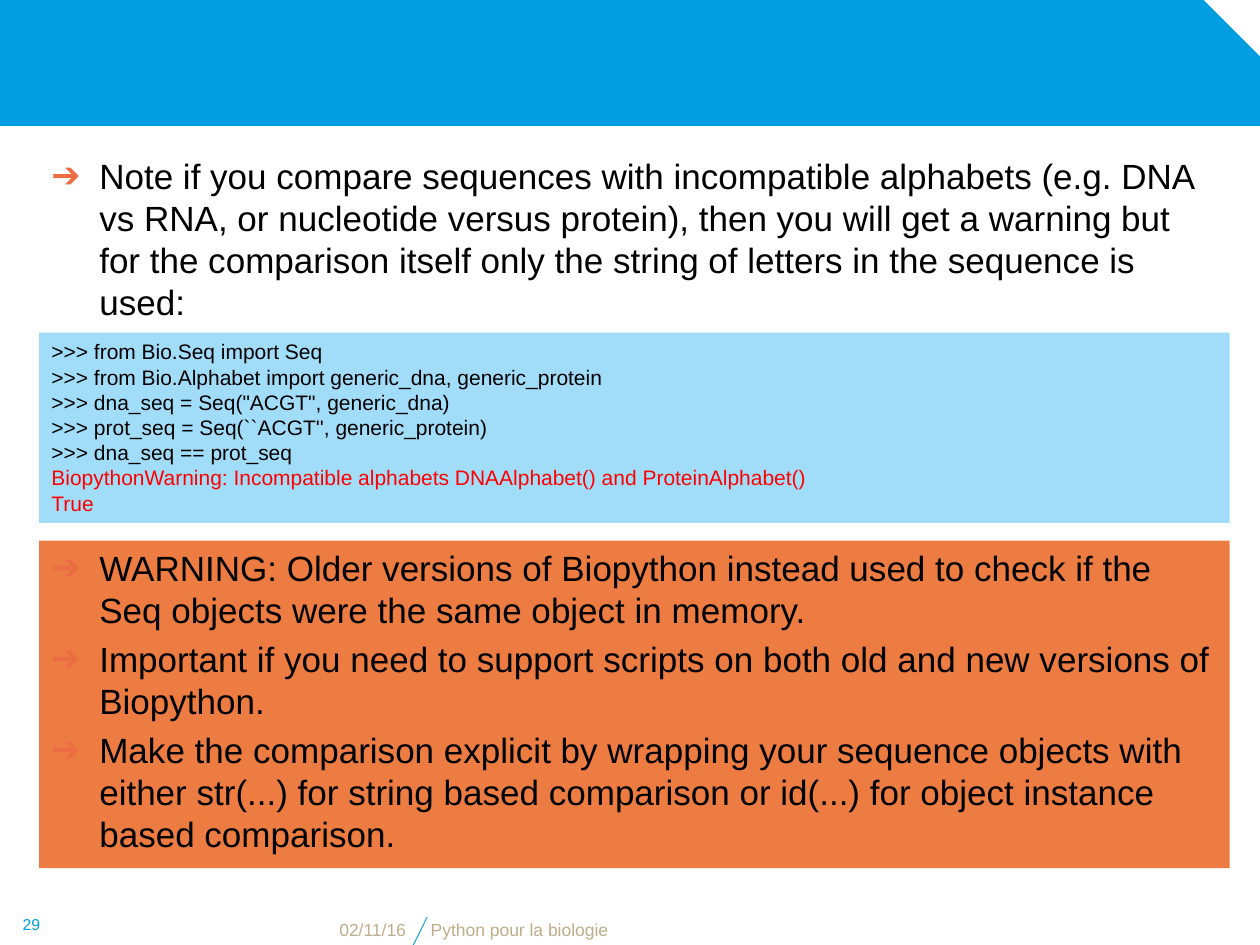
from dataclasses import dataclass

from lxml import etree
from pptx import Presentation
from pptx.dml.color import RGBColor
from pptx.enum.shapes import MSO_CONNECTOR, MSO_SHAPE
from pptx.enum.text import MSO_ANCHOR, PP_ALIGN
from pptx.oxml.ns import qn
from pptx.util import Inches, Pt

RECTANGLE, SNIPPED = MSO_SHAPE.RECTANGLE, MSO_SHAPE.SNIP_1_RECTANGLE
STRAIGHT = MSO_CONNECTOR.STRAIGHT
TOP, MIDDLE, BOTTOM = MSO_ANCHOR.TOP, MSO_ANCHOR.MIDDLE, MSO_ANCHOR.BOTTOM
LEFT, CENTER, RIGHT = PP_ALIGN.LEFT, PP_ALIGN.CENTER, PP_ALIGN.RIGHT


@dataclass(frozen=True)
class Theme:
    font: str = "Arial"
    accent: str = "009DE0"
    code_fill: str = "A1DDF9"
    warning_fill: str = "ED7C43"
    bullet: str = "EC6C43"
    text: str = "000000"
    output: str = "FF0000"
    footer: str = "BEAD8A"
    body_size: int = 20
    code_size: int = 12
    footer_size: int = 10
    number_size: int = 9


@dataclass(frozen=True)
class Line:
    text: str
    size: int
    color: str
    bulleted: bool = False
    align: PP_ALIGN = LEFT


@dataclass(frozen=True)
class Panel:
    left: float
    top: float
    width: float
    height: float
    lines: tuple[Line, ...]
    fill: str | None = None
    anchor: MSO_ANCHOR = TOP


THEME = Theme()
MARGIN, CONTENT_WIDTH = 0.31, 9.45
FOOTER_TOP, FOOTER_HEIGHT = 7.28, 0.23


def bullet_line(text: str) -> Line:
    return Line(text, THEME.body_size, THEME.text, bulleted=True)


def code_line(text: str, color: str = THEME.text) -> Line:
    return Line(text, THEME.code_size, color)


def footer_line(text: str, align: PP_ALIGN) -> Line:
    return Line(text, THEME.footer_size, THEME.footer, align=align)


NOTE = (
    bullet_line(
        "Note if you compare sequences with incompatible alphabets (e.g. DNA vs RNA, "
        "or nucleotide versus protein), then you will get a warning but for the "
        "comparison itself only the string of letters in the sequence is used:"
    ),
)
CODE = (
    code_line(">>> from Bio.Seq import Seq"),
    code_line(">>> from Bio.Alphabet import generic_dna, generic_protein"),
    code_line('>>> dna_seq = Seq("ACGT", generic_dna)'),
    code_line(">>> prot_seq = Seq(``ACGT'', generic_protein)"),
    code_line(">>> dna_seq == prot_seq"),
    code_line(
        "BiopythonWarning: Incompatible alphabets DNAAlphabet() and ProteinAlphabet()",
        THEME.output,
    ),
    code_line("True", THEME.output),
)
WARNINGS = (
    bullet_line(
        "WARNING: Older versions of Biopython instead used to check if the "
        "Seq objects were the same object in memory."
    ),
    bullet_line(
        "Important if you need to support scripts on both old and new versions "
        "of Biopython."
    ),
    bullet_line(
        "Make the comparison explicit by wrapping your sequence objects with either "
        "str(...) for string based comparison or id(...) for object instance based "
        "comparison."
    ),
)
PAGE_NUMBER = (Line("29", THEME.number_size, THEME.accent, align=CENTER),)

PANELS = (
    Panel(MARGIN, 1.18, CONTENT_WIDTH, 1.33, NOTE),
    Panel(0.99, FOOTER_TOP, 2.33, FOOTER_HEIGHT,
          (footer_line("02/11/16", RIGHT),), anchor=BOTTOM),
    Panel(3.32, FOOTER_TOP, 5.75, FOOTER_HEIGHT,
          (footer_line("Python pour la biologie", LEFT),), anchor=BOTTOM),
    Panel(0, 7.17, 0.5, 0.33, PAGE_NUMBER, anchor=MIDDLE),
    Panel(MARGIN, 2.64, CONTENT_WIDTH, 1.51, CODE, THEME.code_fill),
    Panel(MARGIN, 4.29, CONTENT_WIDTH, 2.6, WARNINGS, THEME.warning_fill),
)


def paint(shape, fill: str) -> None:
    shape.shadow.inherit = False
    shape.fill.solid()
    shape.fill.fore_color.rgb = RGBColor.from_string(fill)
    shape.line.fill.background()


def add_bullet(paragraph) -> None:
    paragraph.space_before = Pt(0.2 * THEME.body_size)
    properties = paragraph._p.get_or_add_pPr()
    indent = Inches(0.38)
    properties.set("marL", str(indent))
    properties.set("indent", str(-indent))
    color = etree.SubElement(properties, qn("a:buClr"))
    etree.SubElement(color, qn("a:srgbClr"), val=THEME.bullet)
    etree.SubElement(properties, qn("a:buFont"), typeface=THEME.font)
    etree.SubElement(properties, qn("a:buChar"), char="➔")


def write_lines(frame, lines: tuple[Line, ...]) -> None:
    for index, line in enumerate(lines):
        paragraph = frame.add_paragraph() if index else frame.paragraphs[0]
        paragraph.alignment = line.align
        if line.bulleted:
            add_bullet(paragraph)
        run = paragraph.add_run()
        run.text = line.text
        run.font.name = THEME.font
        run.font.size = Pt(line.size)
        run.font.color.rgb = RGBColor.from_string(line.color)


def draw_panel(slide, panel: Panel) -> None:
    bounds = [Inches(v) for v in (panel.left, panel.top, panel.width, panel.height)]
    if panel.fill:
        box = slide.shapes.add_shape(RECTANGLE, *bounds)
        paint(box, panel.fill)
    else:
        box = slide.shapes.add_textbox(*bounds)
    box.text_frame.word_wrap = True
    box.text_frame.vertical_anchor = panel.anchor
    write_lines(box.text_frame, panel.lines)


def draw_banner(slide) -> None:
    banner = slide.shapes.add_shape(SNIPPED, 0, 0, Inches(10.01), Inches(1))
    banner.adjustments[0] = 0.458
    paint(banner, THEME.accent)


def draw_footer_slash(slide) -> None:
    slash = slide.shapes.add_connector(
        STRAIGHT, Inches(3.28), Inches(7.5), Inches(3.39), Inches(FOOTER_TOP)
    )
    slash.line.color.rgb = RGBColor.from_string(THEME.accent)
    slash.line.width = Pt(0.5)
    etree.SubElement(slash._element.spPr, qn("a:effectLst"))


def main() -> None:
    """Build the slide about comparing sequences with incompatible alphabets."""
    deck = Presentation()
    deck.slide_width, deck.slide_height = Inches(10), Inches(7.5)
    slide = deck.slides.add_slide(deck.slide_layouts[6])
    draw_banner(slide)
    draw_footer_slash(slide)
    for panel in PANELS:
        draw_panel(slide, panel)
    deck.save("out.pptx")


if __name__ == "__main__":
    main()
